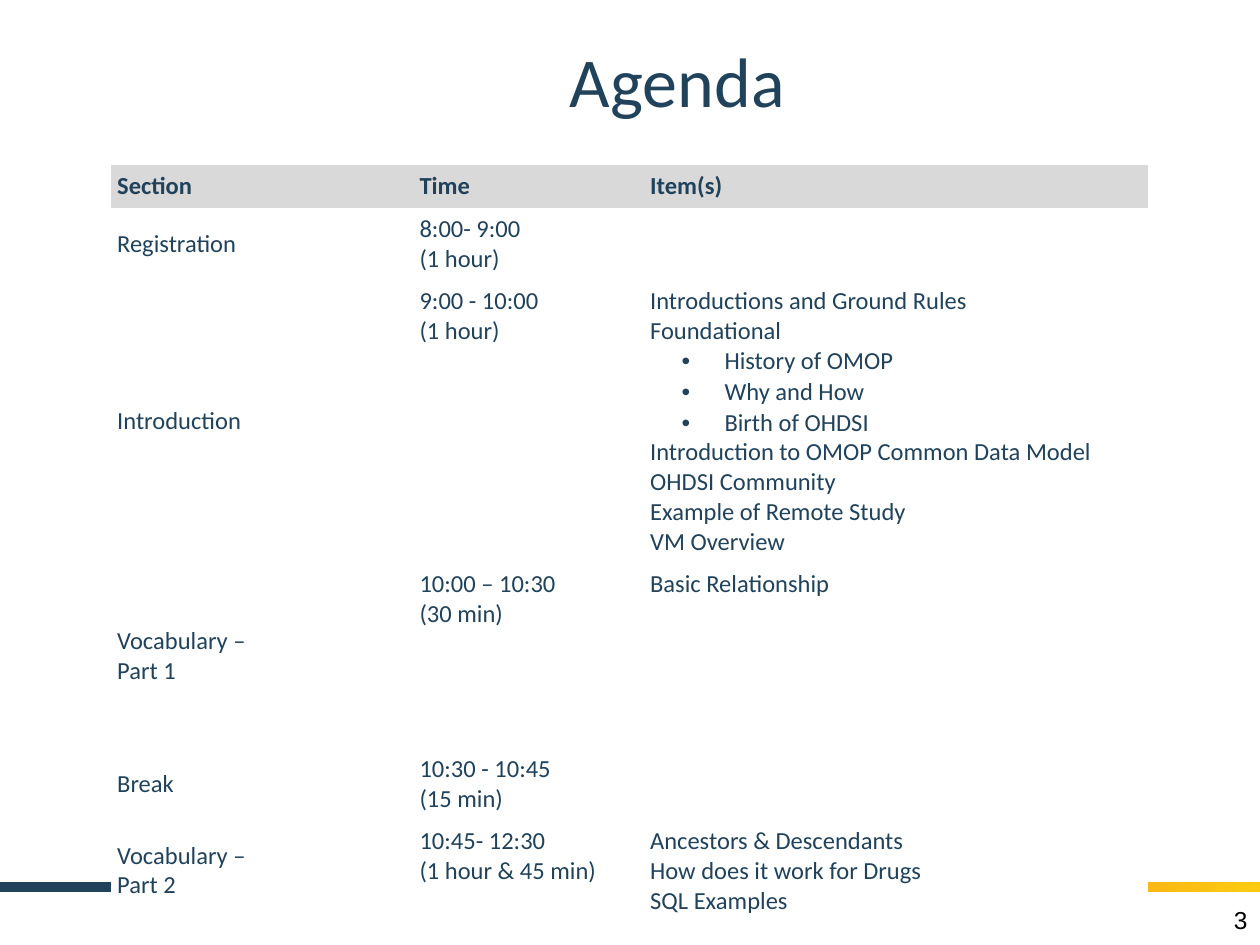
from lxml.etree import SubElement
from pptx import Presentation
from pptx.dml.color import RGBColor
from pptx.enum.shapes import MSO_SHAPE
from pptx.enum.text import MSO_ANCHOR, PP_ALIGN
from pptx.oxml.ns import qn
from pptx.util import Inches, Pt

COLORS = {"navy": "20425A", "orange": "EB6622", "yellow": "FCCB10",
          "gray": "D9D9D9", "white": "FFFFFF", "black": "000000"}
COLUMN_WIDTHS = [24, 18.3, 40]
ROW_HEIGHTS = [3.4, 5.7, 22.5, 14.7, 5.7, 7.8]
AGENDA = [
    (["Section"], ["Time"], ["Item(s)"]),
    (["Registration"], ["8:00- 9:00\n(1 hour)"], []),
    (["Introduction"], ["9:00 - 10:00\n(1 hour)"],
     ["Introductions and Ground Rules", "Foundational", "• History of OMOP",
      "• Why and How", "• Birth of OHDSI",
      "Introduction to OMOP Common Data Model", "OHDSI Community",
      "Example of Remote Study", "VM Overview"]),
    (["Vocabulary –\nPart 1"], ["10:00 – 10:30\n(30 min)"], ["Basic Relationship"]),
    (["Break"], ["10:30 - 10:45\n(15 min)"], []),
    (["Vocabulary –\nPart 2"], ["10:45- 12:30\n(1 hour & 45 min)"],
     ["Ancestors & Descendants", "How does it work for Drugs", "SQL Examples"]),
]


class AgendaPage:
    """Holds the style and the current slide, on a grid of 100 columns by 75 rows."""

    def __init__(self, deck):
        self.column = deck.slide_width / 100
        self.row = deck.slide_height / 75
        self.page = deck.slides.add_slide(deck.slide_layouts[5])

    def place(self, left, top, width, height):
        return (round(left * self.column), round(top * self.row),
                round(width * self.column), round(height * self.row))

    def add_text(self, para, text, size=14, color="navy", font="Calibri", bold=False):
        for index, line in enumerate(text.split("\n")):
            if index:
                para.add_line_break()
            span = para.add_run()
            span.text = line
            span.font.size = Pt(size)
            span.font.name = font
            span.font.bold = bold
            span.font.color.rgb = RGBColor.from_string(COLORS[color])

    def title(self, text, *area):
        box = self.page.shapes.title
        box.left, box.top, box.width, box.height = self.place(*area)
        frame = box.text_frame
        frame.vertical_anchor = MSO_ANCHOR.MIDDLE
        frame.margin_top = frame.margin_bottom = Inches(0.1)
        frame.paragraphs[0].alignment = PP_ALIGN.CENTER
        self.add_text(frame.paragraphs[0], text, size=40)

    def bar(self, stops, *area):
        shape = self.page.shapes.add_shape(MSO_SHAPE.RECTANGLE, *self.place(*area))
        shape.shadow.inherit = False
        shape.line.fill.background()
        shape.fill.gradient()
        shape.fill.gradient_angle = 0
        stop_list = next(shape.element.spPr.iter(qn("a:gsLst")))
        for stop in list(stop_list):
            stop_list.remove(stop)
        for position, color in stops:
            stop = SubElement(stop_list, qn("a:gs"), pos=str(position * 1000))
            SubElement(stop, qn("a:srgbClr"), val=COLORS[color])

    def number(self, text, *area):
        frame = self.page.shapes.add_textbox(*self.place(*area)).text_frame
        frame.word_wrap = True
        frame.vertical_anchor = MSO_ANCHOR.MIDDLE
        frame.paragraphs[0].alignment = PP_ALIGN.RIGHT
        self.add_text(frame.paragraphs[0], text, color="black", font="Arial")

    def bullet(self, para):
        properties = para._p.get_or_add_pPr()
        properties.set("marL", str(Inches(0.59)))
        properties.set("indent", str(-Inches(0.34)))
        SubElement(properties, qn("a:buFont"), typeface="Arial")
        SubElement(properties, qn("a:buChar"), char="•")
        para.space_before = Pt(0.5)

    def cell(self, cell, lines, fill, bold, anchor):
        cell.margin_left = cell.margin_right = Inches(0.05)
        cell.margin_top = cell.margin_bottom = Inches(0.05)
        cell.vertical_anchor = anchor
        properties = cell._tc.get_or_add_tcPr()
        for side in ("lnL", "lnR", "lnT", "lnB"):
            SubElement(SubElement(properties, qn(f"a:{side}"), w="0"), qn("a:noFill"))
        if fill:
            cell.fill.solid()
            cell.fill.fore_color.rgb = RGBColor.from_string(COLORS[fill])
        else:
            cell.fill.background()
        frame = cell.text_frame
        for index, line in enumerate(lines):
            para = frame.add_paragraph() if index else frame.paragraphs[0]
            if line.startswith("• "):
                self.bullet(para)
            self.add_text(para, line.removeprefix("• "), bold=bold)

    def table(self, rows, left, top):
        area = self.place(left, top, sum(COLUMN_WIDTHS), sum(ROW_HEIGHTS))
        table = self.page.shapes.add_table(len(rows), len(COLUMN_WIDTHS), *area).table
        table.first_row = table.horz_banding = False
        for column, width in zip(table.columns, COLUMN_WIDTHS):
            column.width = round(width * self.column)
        fills = {0: "gray", len(rows) - 1: "white"}
        for r, row in enumerate(rows):
            table.rows[r].height = round(ROW_HEIGHTS[r] * self.row)
            for c, lines in enumerate(row):
                middle = r > 0 and c == 0
                anchor = MSO_ANCHOR.MIDDLE if middle else MSO_ANCHOR.TOP
                self.cell(table.cell(r, c), lines, fills.get(r), r == 0, anchor)


def main():
    deck = Presentation()
    deck.slide_width, deck.slide_height = Inches(10), Inches(7.5)
    agenda = AgendaPage(deck)
    agenda.bar([(0, "navy"), (44, "navy"), (55, "orange"), (100, "yellow")],
               0, 70, 100, 0.8)
    agenda.title("Agenda", 12.5, 1.7, 82.5, 9.2)
    agenda.number("3", 76.7, 71, 23.3, 4)
    agenda.table(AGENDA, 8.8, 13.1)
    deck.save("out.pptx")


if __name__ == "__main__":
    main()
